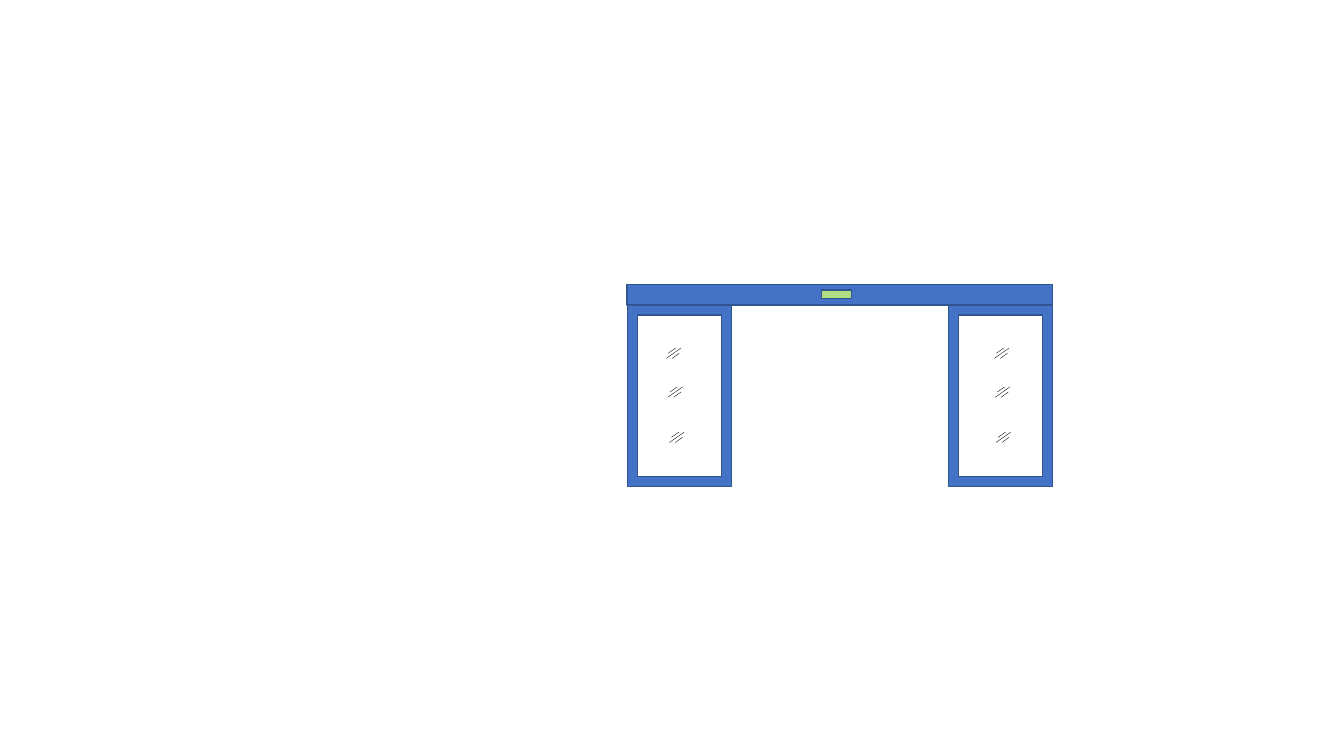
from pptx import Presentation
from pptx import util as u
from pptx.dml.color import RGBColor
from pptx.enum import shapes
from pptx.oxml.ns import qn
from lxml import etree


def color(value):
    return RGBColor.from_string(value)


class Sketch:
    frame = "4472C4"
    outline = "325491"
    glass = "FFFFFF"
    sensor = "B2DE82"
    ink = "000000"

    def __init__(self, page):
        self.page = page

    def group(self):
        return self.page.shapes.add_group_shape().shapes

    def box(self, target, left, top, width, height, fill):
        box = target.add_shape(
            shapes.MSO_SHAPE.RECTANGLE,
            u.Cm(left), u.Cm(top), u.Cm(width), u.Cm(height),
        )
        box.shadow.inherit = False
        box.fill.solid()
        box.fill.fore_color.rgb = color(fill)
        box.line.color.rgb = color(self.outline)
        box.line.width = u.Pt(1)

    def line(self, target, left, top, right, bottom):
        line = target.add_connector(
            shapes.MSO_CONNECTOR.STRAIGHT,
            u.Cm(left), u.Cm(top), u.Cm(right), u.Cm(bottom),
        )
        line.line.color.rgb = color(self.ink)
        line.line.width = u.Pt(0.25)
        etree.SubElement(line._element.spPr, qn("a:effectLst"))

    def glint(self, target, left, top):
        for x1, y1, x2, y2 in GLINT_STROKES:
            self.line(target, left + x1, top + y1, left + x2, top + y2)

    def door(self, left, glint_lefts):
        door = self.group()
        self.box(door, left, DOOR_TOP, DOOR_WIDTH, DOOR_HEIGHT, self.frame)
        self.box(
            door, left + RIM, DOOR_TOP + RIM,
            DOOR_WIDTH - 2 * RIM, DOOR_HEIGHT - 2 * RIM, self.glass,
        )
        for glint_left, glint_top in zip(glint_lefts, GLINT_TOPS):
            self.glint(door, glint_left, glint_top)


DOOR_TOP, DOOR_WIDTH, DOOR_HEIGHT, RIM = 7.69, 2.62, 4.57, 0.25
GLINT_TOPS = (8.77, 9.75, 10.89)
GLINT_STROKES = (
    (0.37, 0, 0, 0.26),
    (0.33, 0.13, 0.15, 0.26),
    (0.24, 0, 0.05, 0.13),
)

deck = Presentation()
deck.slide_width, deck.slide_height = u.Cm(33.87), u.Cm(19.05)
page = deck.slides.add_slide(deck.slide_layouts[6])
sketch = Sketch(page)

sketch.box(page.shapes, 15.8, 7.17, 10.72, 0.52, sketch.frame)
sketch.box(page.shapes, 20.7, 7.31, 0.76, 0.21, sketch.sensor)
sketch.door(15.82, (16.79, 16.83, 16.87))
sketch.door(23.9, (25.06, 25.08, 25.1))

deck.save("out.pptx")
